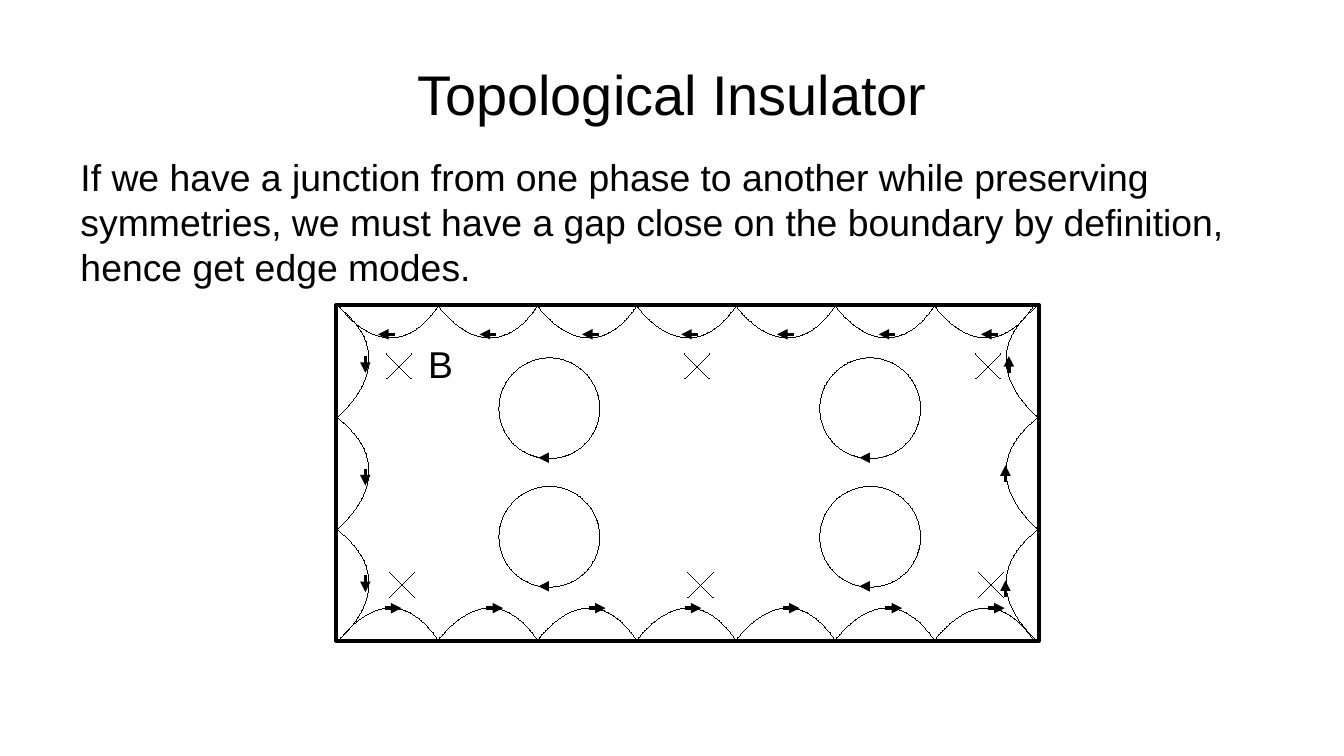
from dataclasses import dataclass

from lxml import etree
from pptx import Presentation
from pptx.dml.color import RGBColor
from pptx.enum.shapes import MSO_CONNECTOR, MSO_SHAPE
from pptx.enum.text import MSO_ANCHOR, PP_ALIGN
from pptx.oxml.ns import qn
from pptx.util import Inches, Pt

STRAIGHT = MSO_CONNECTOR.STRAIGHT
RECTANGLE, OVAL = MSO_SHAPE.RECTANGLE, MSO_SHAPE.OVAL
TOP, MIDDLE = MSO_ANCHOR.TOP, MSO_ANCHOR.MIDDLE
LEFT, CENTER = PP_ALIGN.LEFT, PP_ALIGN.CENTER


@dataclass(frozen=True)
class Theme:
    """Colours, type sizes and line widths of the slide."""
    ink: RGBColor = RGBColor(0, 0, 0)
    paper: RGBColor = RGBColor(255, 255, 255)
    font: str = "Arial"
    title: float = 47.9
    body: float = 32
    hairline: float = 0
    bold_line: float = 3


THEME = Theme()
ARROW_LENGTH = 0.2
TOP_ARROWS = (0.6, 1.81, 3.03, 4.21, 5.35, 6.56, 7.78)
BOTTOM_ARROWS = (0.68, 1.89, 3.11, 4.25, 5.42, 6.64, 7.86)
LEFT_ARROWS = (0.71, 2.05, 3.32)
RIGHT_ARROWS = ((8.01, 0.71), (7.97, 2.01), (7.97, 3.38))


def add_text(slide, box, text, size, align=LEFT, anchor=TOP, insets=(0.1, 0.05)):
    """Place one paragraph of text in a box."""
    frame = slide.shapes.add_textbox(*map(Inches, box)).text_frame
    frame.word_wrap = True
    frame.vertical_anchor = anchor
    frame.margin_left = frame.margin_right = Inches(insets[0])
    frame.margin_top = frame.margin_bottom = Inches(insets[1])
    paragraph = frame.paragraphs[0]
    paragraph.alignment = align
    run = paragraph.add_run()
    run.text = text
    run.font.name = THEME.font
    run.font.size = Pt(size)
    run.font.color.rgb = THEME.ink


def style_line(shape, width):
    """Give a shape an ink line of its own, free of the theme style."""
    shape.line.color.rgb = THEME.ink
    shape.line.width = Pt(width)
    shape._element.remove(shape._element.find(qn("p:style")))


def add_outline(slide, kind, box, width):
    """Draw a paper-filled preset shape with an ink outline."""
    shape = slide.shapes.add_shape(kind, *map(Inches, box))
    shape.shadow.inherit = False
    shape.fill.solid()
    shape.fill.fore_color.rgb = THEME.paper
    style_line(shape, width)


def add_line(slide, start, end, width=THEME.hairline, arrow=False):
    """Draw a straight line, with an arrowhead at its end if asked."""
    connector = slide.shapes.add_connector(STRAIGHT, *map(Inches, (*start, *end)))
    style_line(connector, width)
    properties = connector._element.spPr
    etree.SubElement(properties, qn("a:effectLst"))
    if arrow:
        etree.SubElement(properties.find(qn("a:ln")), qn("a:tailEnd"), type="triangle")


def add_arrow(slide, center, direction, length=ARROW_LENGTH):
    """Draw a bold arrow through a centre point along a unit direction."""
    (x, y), (dx, dy) = center, direction
    half = length / 2
    add_line(slide, (x - dx * half, y - dy * half), (x + dx * half, y + dy * half),
             THEME.bold_line, arrow=True)


def add_cross(slide, x, y, size=0.3):
    """Draw a field cross around a centre point."""
    half = size / 2
    for slope in (-1, 1):
        add_line(slide, (x + half, y + slope * half), (x - half, y - slope * half))


def add_orbit(slide, x, y, diameter=1.2):
    """Draw a closed orbit with an arrowhead at its bottom."""
    add_outline(slide, OVAL, (x, y, diameter, diameter), THEME.hairline)
    add_arrow(slide, (x + 0.52, y + 1.19), (-1, 0), length=0.1)


def add_scallop(slide, start, end, place):
    """Draw one skipping orbit along an edge; place maps (along, depth) to a point."""
    middle = (start + end) / 2
    corners = ((start, 0.02), (middle, 0.39), (end, 0), (end + (start - end) * 0.1, 0))
    points = [tuple(map(Inches, place(*corner))) for corner in corners]
    builder = slide.shapes.build_freeform(*points[0])
    builder.add_line_segments(points[1:], close=False)
    shape = builder.convert_to_shape()
    shape.shadow.inherit = False
    shape.fill.background()
    style_line(shape, THEME.hairline)

    outline = next(shape._element.iter(qn("a:path")))
    to_apex, to_end = outline.findall(qn("a:lnTo"))[:2]
    curve = etree.Element(qn("a:cubicBezTo"))
    control = tuple(map(Inches, place(middle, 0.87)))
    for x, y in (control, points[2], points[2]):
        etree.SubElement(curve, qn("a:pt"), x=str(x - shape.left), y=str(y - shape.top))
    outline.replace(to_apex, curve)
    outline.remove(to_end)


def draw_bulk(slide, box):
    """Draw the sample with its field crosses and closed orbits."""
    left, top, width, height = box
    add_outline(slide, RECTANGLE, box, THEME.bold_line)
    for shift, y in ((0, 0.73), (0.04, 3.33)):
        for x in (0.75, 4.3, 7.76):
            add_cross(slide, left + x + shift, top + y)
    for x in (1.94, 5.76):
        for y in (0.63, 2.16):
            add_orbit(slide, left + x, top + y)
    add_text(slide, (left + 1, top + 0.38, 1.8, 0.6), "B", THEME.body)


def draw_edges(slide, box):
    """Draw the skipping orbits and arrows along the four edges."""
    left, top, width, height = box
    right, bottom = left + width, top + height
    step = (width - 0.1) / 7
    for index in range(7):
        start = left + 0.03 + index * step
        for place in (lambda along, depth: (along, top + depth),
                      lambda along, depth: (along, bottom - depth)):
            add_scallop(slide, start + step, start, place)
    step = height / 3
    for index in range(3):
        start = top + 0.01 + index * step
        for place in (lambda along, depth: (left + depth, along),
                      lambda along, depth: (right - depth, along)):
            add_scallop(slide, start, start + step, place)
    for x in TOP_ARROWS:
        add_arrow(slide, (left + x, top + 0.35), (-1, 0))
    for x in BOTTOM_ARROWS:
        add_arrow(slide, (left + x, bottom - 0.39), (1, 0))
    for y in LEFT_ARROWS:
        add_arrow(slide, (left + 0.35, top + y), (0, 1))
    for x, y in RIGHT_ARROWS:
        add_arrow(slide, (left + x, top + y), (0, -1))


def main():
    """Build and save the slide."""
    presentation = Presentation()
    presentation.slide_width, presentation.slide_height = Inches(16), Inches(9)
    slide = presentation.slides.add_slide(presentation.slide_layouts[6])
    add_text(slide, (0.8, 0.36, 14.4, 1.5), "Topological Insulator",
             THEME.title, CENTER, MIDDLE, (0, 0))
    add_text(slide, (0.86, 1.79, 14.52, 6.58),
             "If we have a junction from one phase to another while preserving "
             "symmetries, we must have a gap close on the boundary by definition, "
             "hence get edge modes.", THEME.body)
    sample = (4, 3.63, 8.37, 4)
    draw_bulk(slide, sample)
    draw_edges(slide, sample)
    presentation.save("out.pptx")


if __name__ == "__main__":
    main()
